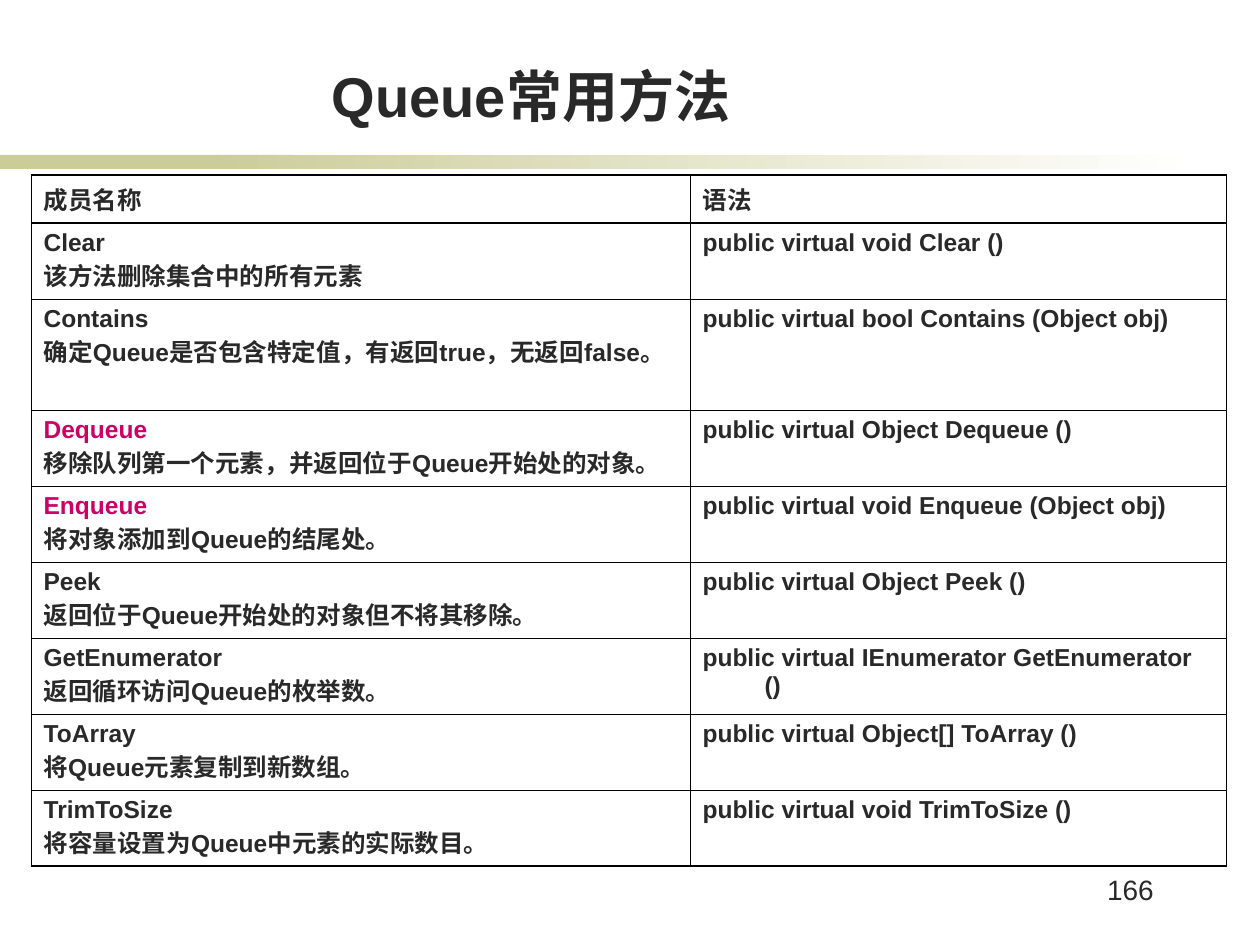
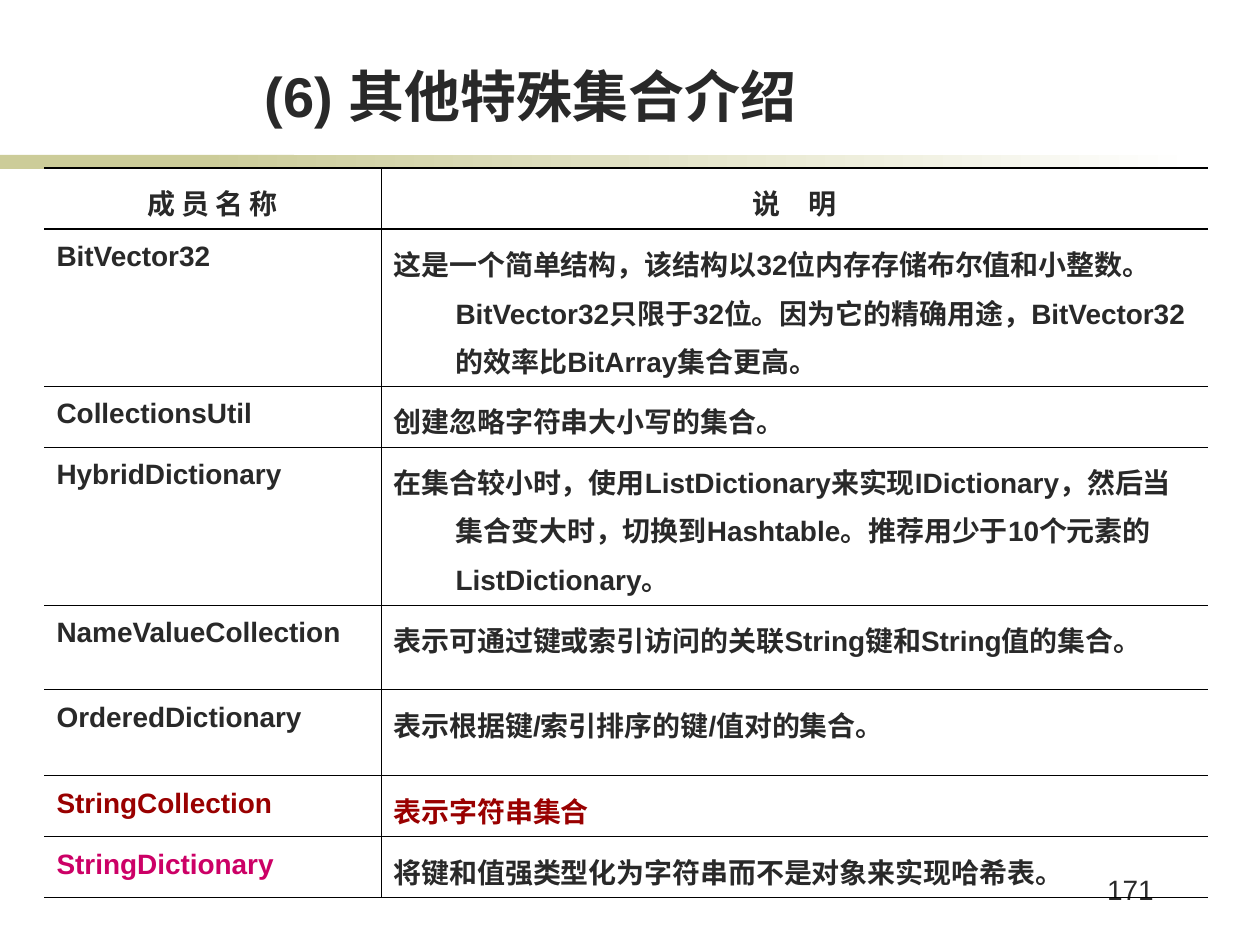
from dataclasses import dataclass

from lxml import etree
from pptx import Presentation
from pptx.dml.color import RGBColor
from pptx.enum.shapes import MSO_SHAPE
from pptx.enum.text import MSO_ANCHOR, MSO_AUTO_SIZE, PP_ALIGN
from pptx.oxml.ns import qn
from pptx.util import Emu, Pt

RECTANGLE = MSO_SHAPE.RECTANGLE
BOTTOM = MSO_ANCHOR.BOTTOM
NO_AUTOFIT = MSO_AUTO_SIZE.NONE
LEFT, CENTER, RIGHT = PP_ALIGN.LEFT, PP_ALIGN.CENTER, PP_ALIGN.RIGHT

EMU_PER_PX = 914400 / 126
TITLE_ONLY = 5


@dataclass(frozen=True)
class Theme:
    """Colours, font and type sizes of the deck."""
    font: str = "Arial"
    ink: str = "292929"
    olive: str = "CCCC99"
    paper: str = "FFFFFF"
    rule: str = "000000"
    pink: str = "CC0066"
    red: str = "990000"
    title_size: int = 32
    number_size: int = 16
    thin: float = 0.5
    thick: float = 1


THEME = Theme()

QUEUE_METHODS = [
    ("成员名称", "语法"),
    ("Clear\n该方法删除集合中的所有元素", "public virtual void Clear ()"),
    ("Contains\n确定Queue是否包含特定值，有返回true，无返回false。",
     "public virtual bool Contains (Object obj)"),
    ("Dequeue\n移除队列第一个元素，并返回位于Queue开始处的对象。",
     "public virtual Object Dequeue ()"),
    ("Enqueue\n将对象添加到Queue的结尾处。", "public virtual void Enqueue (Object obj)"),
    ("Peek\n返回位于Queue开始处的对象但不将其移除。", "public virtual Object Peek ()"),
    ("GetEnumerator\n返回循环访问Queue的枚举数。",
     "public virtual IEnumerator GetEnumerator ()"),
    ("ToArray\n将Queue元素复制到新数组。", "public virtual Object[] ToArray ()"),
    ("TrimToSize\n将容量设置为Queue中元素的实际数目。", "public virtual void TrimToSize ()"),
]

SPECIAL_COLLECTIONS = [
    ("成 员 名 称", "说　明"),
    ("BitVector32",
     "这是一个简单结构，该结构以32位内存存储布尔值和小整数。BitVector32只限于32位。"
     "因为它的精确用途，BitVector32的效率比BitArray集合更高。"),
    ("CollectionsUtil", "创建忽略字符串大小写的集合。"),
    ("HybridDictionary",
     "在集合较小时，使用ListDictionary来实现IDictionary，然后当集合变大时，"
     "切换到Hashtable。推荐用少于10个元素的ListDictionary。"),
    ("NameValueCollection", "表示可通过键或索引访问的关联String键和String值的集合。"),
    ("OrderedDictionary", "表示根据键/索引排序的键/值对的集合。"),
    ("StringCollection", "表示字符串集合"),
    ("StringDictionary", "将键和值强类型化为字符串而不是对象来实现哈希表。"),
]

HIGHLIGHTS = {
    "Dequeue": THEME.pink,
    "Enqueue": THEME.pink,
    "StringCollection": THEME.red,
    "表示字符串集合": THEME.red,
    "StringDictionary": THEME.pink,
}


def px(length):
    """Turn pixels into EMU."""
    return Emu(round(length * EMU_PER_PX))


class Page:
    """Draws the elements of the deck on its current slide."""

    def __init__(self, deck, theme):
        """Keep the deck and its style."""
        self.deck = deck
        self.theme = theme
        self.slide = None

    def start(self, title, number):
        """Add a slide with its bands, title and page number."""
        self.slide = self.deck.slides.add_slide(self.deck.slide_layouts[TITLE_ONLY])
        self.band(0, 294)
        self.band(199, 998, fades=True)
        self.number(number)
        self.title(title)

    def band(self, left, width, fades=False):
        """Draw a stretch of the olive band, plain or fading out."""
        band = self.slide.shapes.add_shape(RECTANGLE, px(left), px(155), px(width), px(14))
        band.shadow.inherit = False
        band.line.fill.background()
        if fades:
            band.fill.gradient()
            band.fill.gradient_angle = 0
            colours = (self.theme.olive, self.theme.paper)
            for stop, colour in zip(band.fill.gradient_stops, colours):
                stop.color.rgb = RGBColor.from_string(colour)
        else:
            band.fill.solid()
            band.fill.fore_color.rgb = RGBColor.from_string(self.theme.olive)

    def style(self, para, size, bold=False, align=LEFT, colour=None):
        """Format a paragraph and its runs."""
        para.alignment = align
        for span in para.runs:
            span.font.name = self.theme.font
            span.font.size = Pt(size)
            span.font.bold = bold
            span.font.color.rgb = RGBColor.from_string(colour or self.theme.ink)

    def title(self, text):
        """Fill the title placeholder."""
        box = self.slide.shapes.title
        box.left, box.top, box.width, box.height = px(144), px(55), px(774), px(80)
        frame = box.text_frame
        frame.text = text
        frame.auto_size = NO_AUTOFIT
        frame.vertical_anchor = BOTTOM
        frame.margin_top = frame.margin_bottom = px(6)
        self.style(frame.paragraphs[0], self.theme.title_size, bold=True, align=CENTER)

    def number(self, number):
        """Write the page number at the lower right."""
        box = self.slide.shapes.add_textbox(px(1037), px(866), px(129), px(63))
        box.text_frame.word_wrap = True
        box.text_frame.text = str(number)
        self.style(box.text_frame.paragraphs[0], self.theme.number_size, align=RIGHT)

    def borders(self, cell, widths):
        """Rule the left, right, top and bottom of a cell; no width means no line."""
        properties = cell._tc.get_or_add_tcPr()
        for side, width in zip("LRTB", widths):
            line = etree.SubElement(properties, qn(f"a:ln{side}"))
            if width:
                line.set("w", str(Pt(width)))
                fill = etree.SubElement(line, qn("a:solidFill"))
                etree.SubElement(fill, qn("a:srgbClr")).set("val", self.theme.rule)
            else:
                etree.SubElement(line, qn("a:noFill"))

    def table(self, left, top, columns, heights, rows, size,
              spacing=1.0, header_align=LEFT, open_sides=False):
        """Draw a ruled table with hanging paragraphs."""
        thin, thick = self.theme.thin, self.theme.thick
        edge = None if open_sides else thin
        foot = thin if open_sides else thick
        last_row, last_column = len(rows) - 1, len(columns) - 1
        table = self.slide.shapes.add_table(
            len(rows), len(columns), px(left), px(top),
            px(sum(columns)), px(sum(heights))).table
        table.first_row = table.horz_banding = False
        for column, width in zip(table.columns, columns):
            column.width = px(width)
        for i, (row, height, texts) in enumerate(zip(table.rows, heights, rows)):
            row.height = px(height)
            below = {0: thick, last_row: foot}.get(i, thin)
            for j, (cell, text) in enumerate(zip(row.cells, texts)):
                self.borders(cell, (thin if j else edge,
                                    thin if j < last_column else edge,
                                    thick if i < 2 else thin,
                                    below))
                cell.fill.background()
                cell.text_frame.text = text
                for para in cell.text_frame.paragraphs:
                    hanging = para._p.get_or_add_pPr()
                    hanging.set("marL", str(px(62)))
                    hanging.set("indent", str(-px(62)))
                    para.line_spacing = spacing
                    self.style(para, size, bold=True,
                               align=LEFT if i else header_align,
                               colour=HIGHLIGHTS.get(para.text))


def main():
    """Build and save the deck."""
    deck = Presentation()
    deck.slide_width, deck.slide_height = px(1260), px(945)
    page = Page(deck, THEME)

    page.start("Queue常用方法", 166)
    page.table(31, 175, (659, 536), [48, 76, 111] + [76] * 6, QUEUE_METHODS, size=14)

    page.start("(6) 其他特殊集合介绍", 171)
    page.table(44, 168, (337, 827), (61, 157, 61, 158, 85, 86, 61, 61),
               SPECIAL_COLLECTIONS, size=16, spacing=1.2,
               header_align=CENTER, open_sides=True)

    deck.save("out.pptx")


if __name__ == "__main__":
    main()
